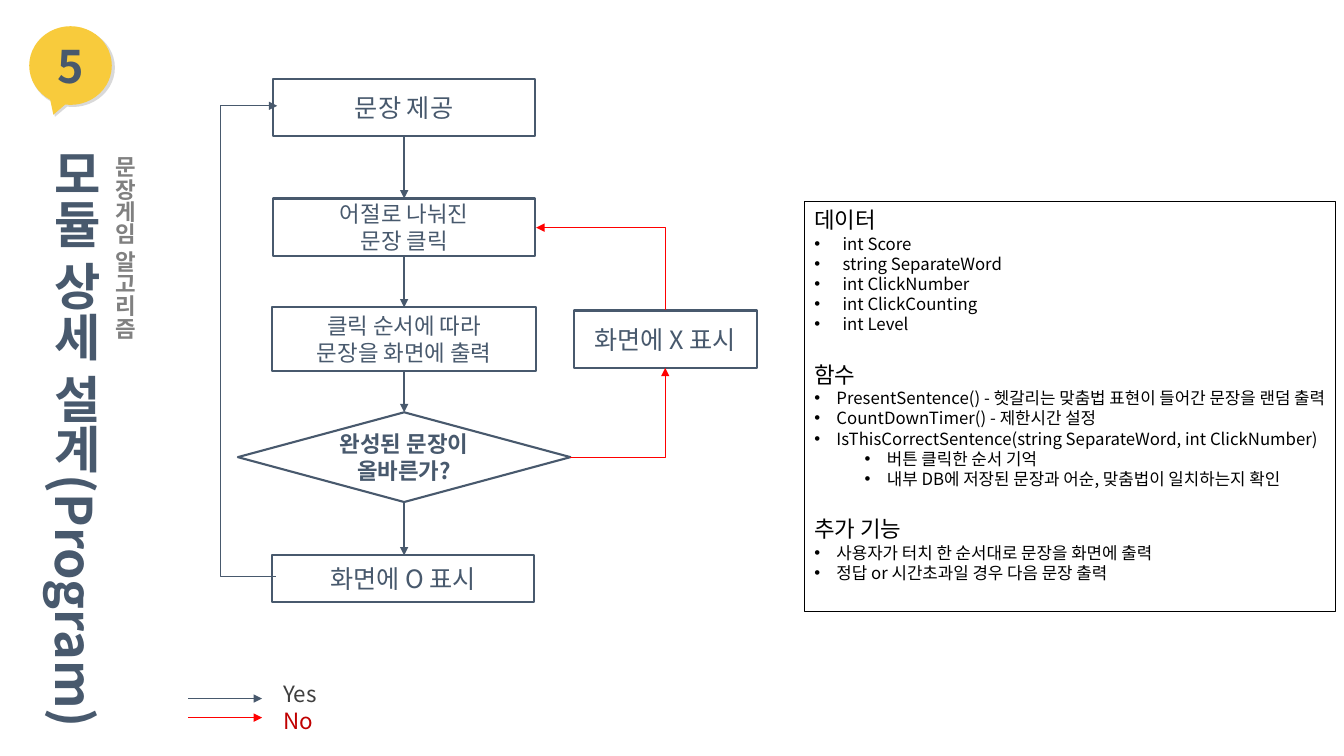
from lxml import etree
from pptx import Presentation
from pptx import util as u
from pptx.dml.color import RGBColor
from pptx.enum import shapes, text
from pptx.oxml import ns

Pt = u.Pt
Kind = shapes.MSO_SHAPE
SLATE, RED, BLACK = "48596D", "FF0000", "000000"


def paint(color):
    return RGBColor.from_string(color)


def sub(node, tag, **attrs):
    """Append a DrawingML child element and return it."""
    child = etree.SubElement(node, ns.qn("a:" + tag))
    for key, value in attrs.items():
        child.set(key, str(value))
    return child


def write(box, words, size=16, color=SLATE, bold=False, center=True,
          first=False, indent=0, hang=0, level=0, before=0,
          face="Noto Sans CJK KR"):
    """Write one paragraph into a shape; hang > 0 gives it a bullet."""
    frame = box.text_frame
    para = frame.paragraphs[0] if first else frame.add_paragraph()
    para.level = level
    props = para._p.get_or_add_pPr()
    props.set("marL", str(Pt(indent)))
    props.set("indent", str(Pt(-hang)))
    if hang:
        sub(props, "buFont", typeface="Arial")
        sub(props, "buChar", char="•")
    para.alignment = text.PP_ALIGN.CENTER if center else text.PP_ALIGN.LEFT
    if before:
        para.space_before = Pt(before)
    run = para.add_run()
    run.text = words
    font = run.font
    font.name, font.size, font.bold = face, Pt(size), bold
    font.color.rgb = paint(color)
    sub(run._r.get_or_add_rPr(), "ea", typeface=face)


class Board:
    def __init__(self, slide):
        self.slide = slide

    def shape(self, kind, at, fill=None, line=None, width=1.5):
        box = self.slide.shapes.add_shape(kind, *map(Pt, at))
        box.shadow.inherit = False
        if fill:
            box.fill.solid()
            box.fill.fore_color.rgb = paint(fill)
        else:
            box.fill.background()
        if line:
            box.line.color.rgb = paint(line)
            box.line.width = Pt(width)
        else:
            box.line.fill.background()
        return box

    def node(self, at, lines, size=16, kind=Kind.RECTANGLE, bold=False):
        box = self.shape(kind, at, line=SLATE)
        for i, words in enumerate(lines):
            write(box, words, size, bold=bold, first=i == 0)

    def label(self, at, upright=False):
        box = self.slide.shapes.add_textbox(*map(Pt, at))
        box.text_frame.word_wrap = not upright
        if upright:
            box.text_frame._txBody.bodyPr.set("vert", "eaVert")
        return box

    def arrow(self, start, end, color=SLATE, width=1.5, bend=None,
              adjust=None, tip="tailEnd"):
        """Draw an arrow; bend names an elbow preset, tip the pointed end."""
        style = shapes.MSO_CONNECTOR.ELBOW if bend else shapes.MSO_CONNECTOR.STRAIGHT
        wire = self.slide.shapes.add_connector(style, *map(Pt, start + end))
        wire.line.color.rgb = paint(color)
        wire.line.width = Pt(width)
        sub(wire.line._get_or_add_ln(), tip, type="triangle")
        props = wire._element.spPr
        sub(props, "effectLst")
        if bend:
            shape = props.find(ns.qn("a:prstGeom"))
            shape.set("prst", bend)
            if adjust is not None:
                guides = shape.find(ns.qn("a:avLst"))
                if guides is None:
                    guides = sub(shape, "avLst")
                sub(guides, "gd", name="adj1", fmla=f"val {adjust}")


def badge(board):
    for at, fill in (((21.6, 20.2, 60.5, 56.2), "D9D9D9"),
                     ((20.9, 18.7, 59, 56.2), "F8CB3C")):
        box = board.shape(Kind.OVAL_CALLOUT, at, fill)
        box.adjustments[0], box.adjustments[1] = -0.208, 0.625
    write(box, "5", 32, bold=True, first=True)


def titles(board):
    head = board.label((20.9, 99.4, 58.3, 415.4), upright=True)
    write(head, "모듈 상세 설계(Program)", 36, bold=True, center=False, first=True)
    side = board.label((67, 104.4, 35.3, 139.7), upright=True)
    write(side, "문장게임 알고리즘", color="808080", bold=True, first=True)


def flow(board):
    give = (195.1, 56.2, 187.2, 41)
    click = (195.1, 141.8, 187.2, 41)
    show = (194.4, 219.6, 188.6, 45.4)
    check = (169.9, 294.5, 237.6, 64.1)
    right = (194.4, 396.7, 187.2, 33.1)
    wrong = (409.7, 221.8, 131, 41)
    board.node(give, ["문장 제공"], 18)
    board.node(click, ["어절로 나눠진", "문장 클릭"])
    board.node(show, ["클릭 순서에 따라", "문장을 화면에 출력"])
    board.node(check, ["완성된 문장이", "올바른가?"], kind=Kind.FLOWCHART_DECISION, bold=True)
    board.node(right, ["화면에 O 표시"], 18)
    board.node(wrong, ["화면에 X 표시"], 18)

    steps = [give, click, show, check, right]
    for above, below in zip(steps, steps[1:]):
        board.arrow((288.7, above[1] + above[3]), (288.7, below[1]))
    board.arrow((197, 412), (198, 75.6), width=0.5,
                bend="bentConnector3", adjust=-4000000)
    mid = wrong[0] + wrong[2] / 2
    board.arrow((407.2, 326.7), (mid, wrong[1] + wrong[3]), RED, 0.25,
                bend="bentConnector2")
    board.arrow((383, 162.6), (mid, wrong[1]), RED, 0.25,
                bend="bentConnector2", tip="headEnd")


def legend(board):
    box = board.label((123.1, 482.4, 128.2, 46))
    rows = (("Yes", "3F3F3F", SLATE, 499), ("No", "C00000", RED, 512.6))
    for i, (words, ink, color, y) in enumerate(rows):
        board.arrow((134.6, y), (187.2, y), color, 0.25)
        write(box, words, color=ink, center=False, first=i == 0, indent=72)


def panel(board):
    box = board.shape(Kind.RECTANGLE, (574.6, 144, 379.4, 293), line=BLACK, width=0.75)
    box.text_frame.word_wrap = True
    box.text_frame.vertical_anchor = text.MSO_ANCHOR.TOP
    parts = (
        ("데이터", 20.2, [
            (0, "int Score"), (0, "string SeparateWord"), (0, "int ClickNumber"),
            (0, "int ClickCounting"), (0, "int Level")]),
        ("함수", 15.8, [
            (0, "PresentSentence() - 헷갈리는 맞춤법 표현이 들어간 문장을 랜덤 출력"),
            (0, "CountDownTimer() - 제한시간 설정"),
            (0, "IsThisCorrectSentence(string SeparateWord, int ClickNumber)"),
            (1, "버튼 클릭한 순서 기억"),
            (1, "내부 DB에 저장된 문장과 어순, 맞춤법이 일치하는지 확인")]),
        ("추가 기능", 15.8, [
            (0, "사용자가 터치 한 순서대로 문장을 화면에 출력"),
            (0, "정답 or 시간초과일 경우 다음 문장 출력")]),
    )
    for i, (head, hang, items) in enumerate(parts):
        write(box, head, color=BLACK, center=False, first=i == 0,
              before=19.2 if i else 0)
        for level, words in items:
            write(box, words, 12, BLACK, center=False, level=level,
                  indent=hang + 36 * level, hang=hang)


def main():
    deck = Presentation()
    deck.slide_width, deck.slide_height = Pt(960), Pt(540)
    board = Board(deck.slides.add_slide(deck.slide_layouts[6]))
    for draw in (badge, titles, flow, legend, panel):
        draw(board)
    deck.save("out.pptx")


if __name__ == "__main__":
    main()
